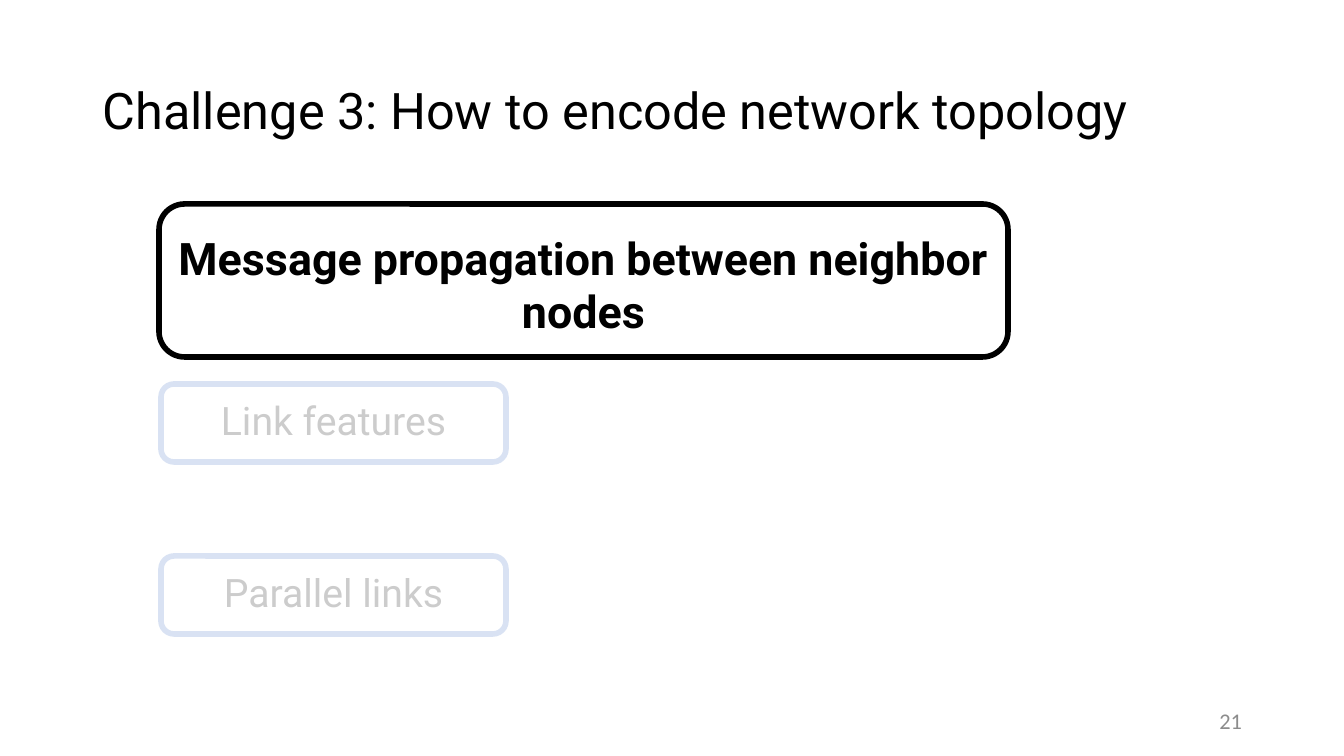
from lxml import etree
from pptx import Presentation
from pptx.dml.color import RGBColor
from pptx.enum.shapes import MSO_SHAPE
from pptx.enum.text import MSO_ANCHOR, PP_ALIGN
from pptx.oxml.ns import qn
from pptx.util import Pt

W, H = 1344, 756
SCALE = 12192000 / W
ROUNDED = MSO_SHAPE.ROUNDED_RECTANGLE
MIDDLE = MSO_ANCHOR.MIDDLE
LEFT, CENTER, RIGHT = PP_ALIGN.LEFT, PP_ALIGN.CENTER, PP_ALIGN.RIGHT
BLACK, WHITE, BLUE, GRAY = "000000", "FFFFFF", "4472C4", "8C8C8C"


def px(n):
    return int(n * SCALE)


def paint(fill, color, opacity=100):
    """Solid colour, with an opacity in percent."""
    fill.solid()
    fill.fore_color.rgb = RGBColor.from_string(color)
    if opacity < 100:
        for clr in fill._xPr.iter(qn("a:srgbClr")):
            etree.SubElement(clr, qn("a:alpha"), val=str(opacity * 1000))


def write(sp, text, size, color=BLACK, align=LEFT, font="Roboto",
          bold=False, opacity=100, spacing=None):
    tf = sp.text_frame
    tf.word_wrap = True
    tf.vertical_anchor = MIDDLE
    tf.text = text
    p = tf.paragraphs[0]
    p.alignment = align
    if spacing:
        p.line_spacing = spacing
    r = p.runs[0]
    r.font.name, r.font.size, r.font.bold = font, Pt(size), bold
    paint(r.font.fill, color, opacity)


def text_box(s, box, text, size, **style):
    sp = s.shapes.add_textbox(*map(px, box))
    write(sp, text, size, **style)


def topic_box(s, box, text, size, line=BLACK, opacity=100, **style):
    sp = s.shapes.add_shape(ROUNDED, *map(px, box))
    sp.shadow.inherit = False
    paint(sp.fill, WHITE)
    paint(sp.line.fill, line, opacity)
    sp.line.width = Pt(4)
    write(sp, text, size, align=CENTER, opacity=opacity, **style)
    return sp


def topics(s, x, y):
    # Faded topics, evenly stepped below the current one
    for i, name in enumerate(["Link features", "Parallel links"]):
        topic_box(s, (x + 2, y + 180 + i * 172, 345, 78), name, 28,
                  line=BLUE, opacity=20, spacing=0.9)
    # Current topic, its text set slightly below the middle
    sp = topic_box(s, (x, y, 849, 153),
                   "Message propagation between neighbor nodes", 32, bold=True)
    sp.text_frame.margin_top = px(12)


def build_slide(prs):
    s = prs.slides.add_slide(prs.slide_layouts[6])
    # Title
    text_box(s, (93, 40, 1159, 146),
             "Challenge 3: How to encode network topology", 36, spacing=0.9)
    # Slide number
    text_box(s, (950, 701, 302, 40), "21", 16, color=GRAY, align=RIGHT,
             font="Calibri")
    topics(s, 159, 204)


def main():
    prs = Presentation()
    prs.slide_width, prs.slide_height = px(W), px(H)
    build_slide(prs)
    prs.save("out.pptx")


if __name__ == "__main__":
    main()
